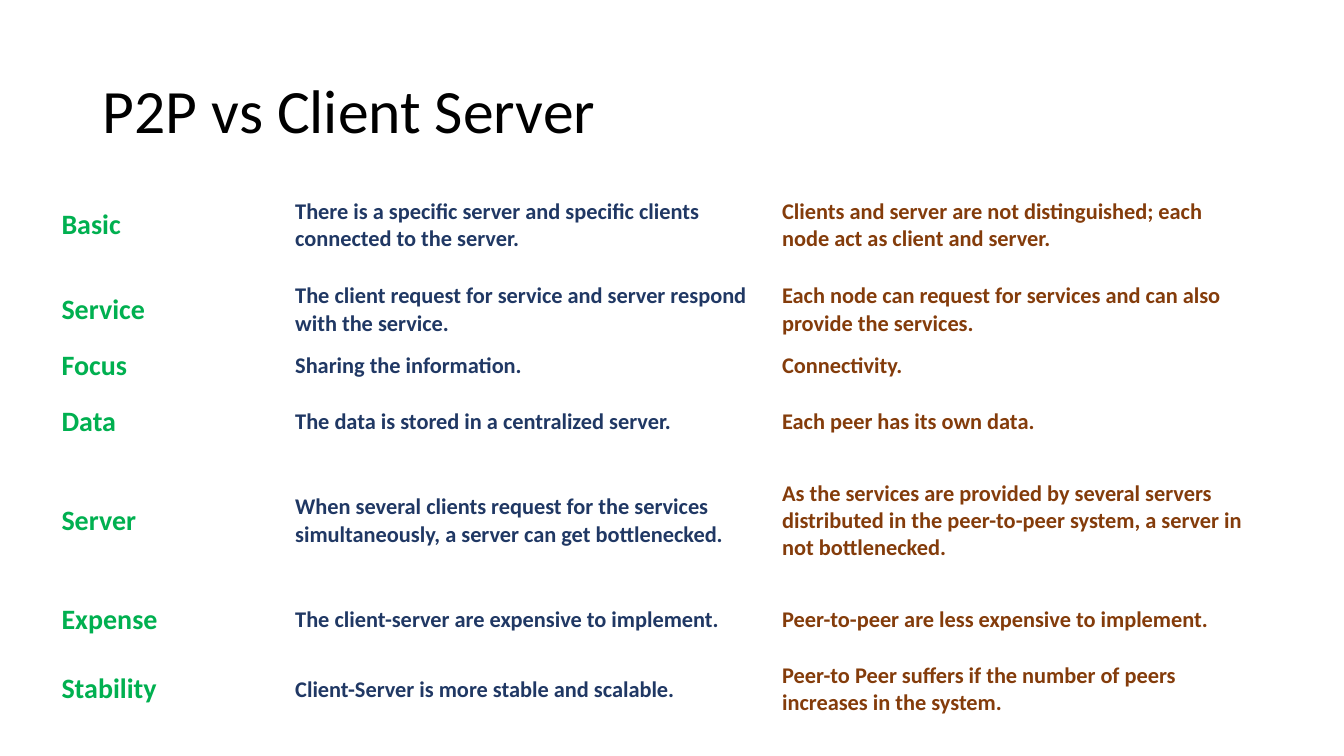
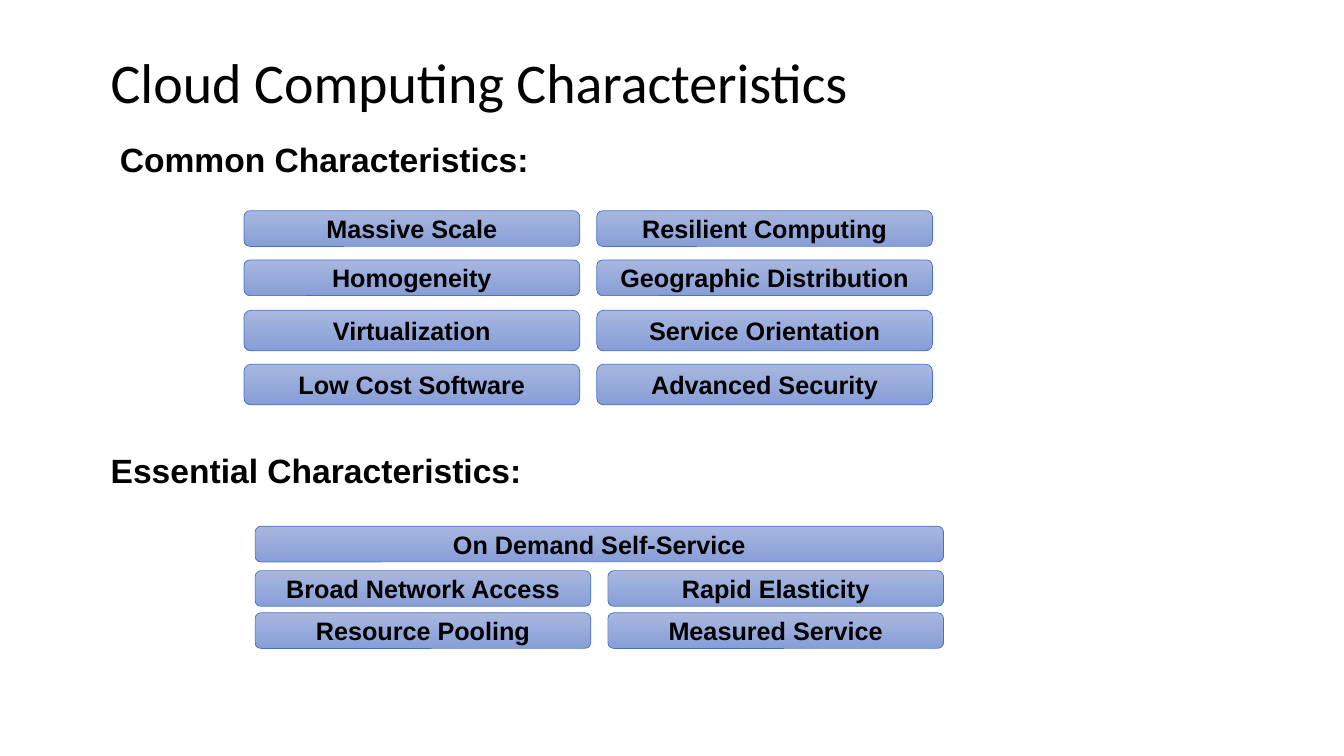
"""Build two slides: P2P against client-server, and cloud computing traits."""
import pptx
import pptx.util
import pptx.dml.color
import pptx.enum.shapes
import pptx.enum.text

Cm = pptx.util.Cm
Pt = pptx.util.Pt
middle = pptx.enum.text.MSO_ANCHOR.MIDDLE
hues = {"black": "000000", "green": "00B050", "navy": "203864", "brown": "843C0B",
        "light": "A8B7DF", "deep": "889ED7", "edge": "4472C4"}


def rgb(name):
    return pptx.dml.color.RGBColor.from_string(hues[name])


def write(frame, text, size, face="Calibri", hue="black", bold=False):
    frame.text = text
    font = frame.paragraphs[0].runs[0].font
    font.name, font.size, font.bold = face, Pt(size), bold
    font.color.rgb = rgb(hue)


deck = pptx.Presentation()
deck.slide_width, deck.slide_height = Cm(33.87), Cm(19.05)

titles = [
    ("P2P vs Client Server", 44, (2.34, 1.02, 29.21, 3.68)),
    ("Cloud Computing Characteristics", 40, (2.54, 0.56, 20.12, 3.18)),
]
for text, size, place in titles:
    slide = deck.slides.add_slide(deck.slide_layouts[6])
    frame = slide.shapes.add_textbox(*map(Cm, place)).text_frame
    frame.word_wrap = True
    frame.vertical_anchor = middle
    write(frame, text, size)
    frame.paragraphs[0].line_spacing = 0.9
versus, cloud = deck.slides

rows = [
    (2.51, "Basic",
     "There is a specific server and specific clients connected to the server.",
     "Clients and server are not distinguished; each node act as client and server."),
    (1.75, "Service",
     "The client request for service and server respond with the service.",
     "Each node can request for services and can also provide the services."),
    (1, "Focus", "Sharing the information.", "Connectivity."),
    (1.75, "Data", "The data is stored in a centralized server.",
     "Each peer has its own data."),
    (3.25, "Server",
     "When several clients request for the services simultaneously, "
     "a server can get bottlenecked.",
     "As the services are provided by several servers distributed in the "
     "peer-to-peer system, a server in not bottlenecked."),
    (1.75, "Expense", "The client-server are expensive to implement.",
     "Peer-to-peer are less expensive to implement."),
    (1.75, "Stability", "Client-Server is more stable and scalable.",
     "Peer-to Peer suffers if the number of peers increases in the system."),
]
cols = [(5.89, 20, "green"), (12.27, 16, "navy"), (12.06, 16, "brown")]
table = versus.shapes.add_table(len(rows), len(cols), Cm(1.32), Cm(4.42),
                                Cm(30.22), Cm(13.76)).table
table.first_row = table.horz_banding = False
for col, (width, size, hue) in enumerate(cols):
    table.columns[col].width = Cm(width)
    for row, (height, *texts) in enumerate(rows):
        table.rows[row].height = Cm(height)
        cell = table.cell(row, col)
        cell.fill.background()
        cell.vertical_anchor = middle
        cell.margin_left = cell.margin_right = Cm(0.23)
        cell.margin_top = cell.margin_bottom = Cm(0.11)
        write(cell.text_frame, texts[col], size, hue=hue, bold=True)

heads = [("Common Characteristics:", 2.77, 3.38),
         ("Essential Characteristics:", 2.54, 11.2)]
for text, left, top in heads:
    frame = cloud.shapes.add_textbox(Cm(left), Cm(top), Cm(10.95), Cm(1.3)).text_frame
    frame.word_wrap = False
    write(frame, text, 24, "Arial", bold=True)

wide, step = 8.46, 8.89
bands = [
    (6.15, 5.31, 0.9, ["Massive Scale", "Resilient Computing"]),
    (6.15, 6.55, 0.9, ["Homogeneity", "Geographic Distribution"]),
    (6.15, 7.82, 1.02, ["Virtualization", "Service Orientation"]),
    (6.15, 9.18, 1.02, ["Low Cost Software", "Advanced Security"]),
    (6.43, 13.26, 0.9, ["On Demand Self-Service"]),
    (6.43, 14.38, 0.9, ["Broad Network Access", "Rapid Elasticity"]),
    (6.43, 15.44, 0.9, ["Resource Pooling", "Measured Service"]),
]
for left, top, height, texts in bands:
    width = wide if len(texts) == 2 else step + wide
    for col, text in enumerate(texts):
        pill = cloud.shapes.add_shape(
            pptx.enum.shapes.MSO_SHAPE.ROUNDED_RECTANGLE,
            Cm(left + col * step), Cm(top), Cm(width), Cm(height))
        pill.shadow.inherit = False
        pill.fill.gradient()
        pill.fill.gradient_angle = 270
        for stop, spot, hue in zip(pill.fill.gradient_stops, (0, 1), ("light", "deep")):
            stop.position = spot
            stop.color.rgb = rgb(hue)
        pill.line.color.rgb = rgb("edge")
        pill.line.width = Pt(0.5)
        frame = pill.text_frame
        frame.vertical_anchor = middle
        write(frame, text, 18, "Arial", bold=True)
        frame.paragraphs[0].alignment = pptx.enum.text.PP_ALIGN.CENTER

deck.save("out.pptx")
